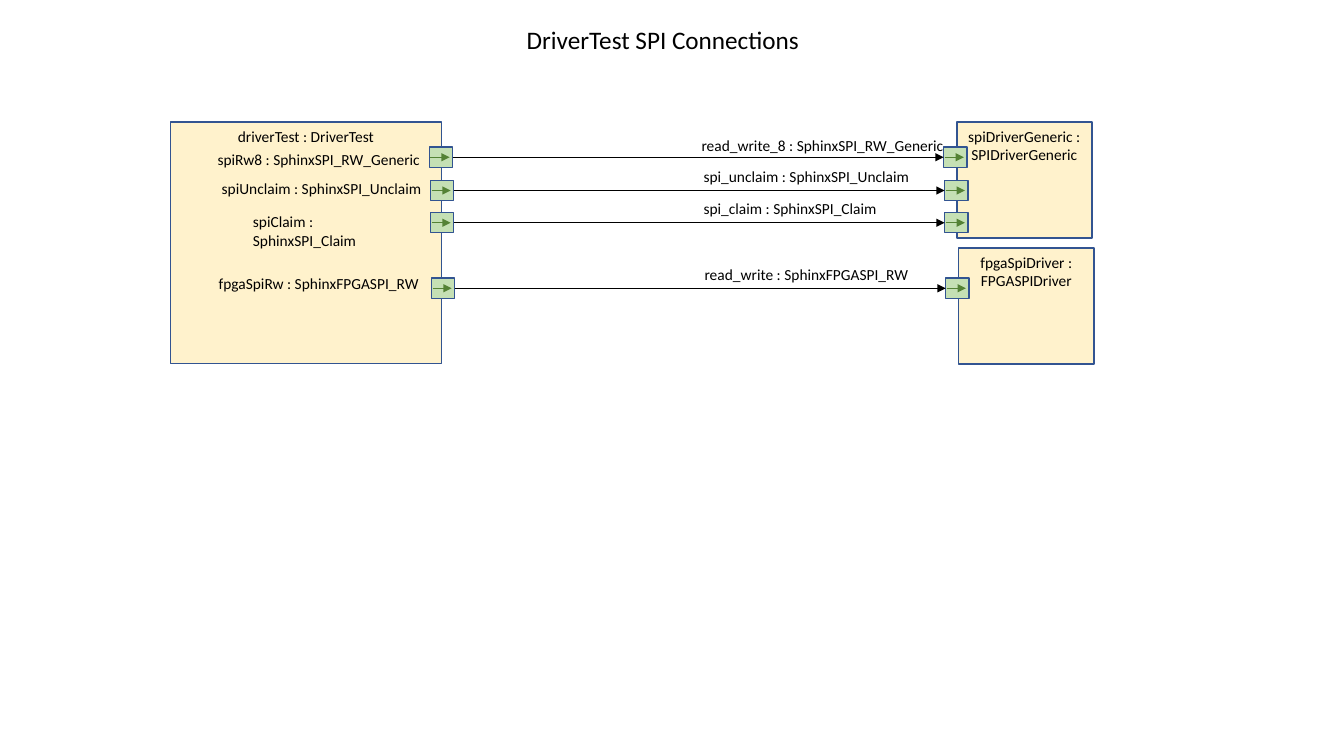
from lxml import etree
from pptx import Presentation
from pptx import util as u
from pptx.dml.color import RGBColor
from pptx.enum import shapes, text
from pptx.oxml.ns import qn

I = u.Inches
HUE = {"box": "FFF2CC", "port": "C5E0B4", "edge": "325491",
       "arrow": "548235", "ink": "000000"}
THICK = {"edge": 1, "arrow": 0.5, "ink": 1}
MID = text.PP_ALIGN.CENTER

deck = Presentation()
deck.slide_width, deck.slide_height = I(13.33), I(7.5)
slide = deck.slides.add_slide(deck.slide_layouts[5])
parts = slide.shapes


def write(shape, words, size=11, align=text.PP_ALIGN.LEFT, wrap=False):
    frame = shape.text_frame
    frame.text = words
    form = {"word_wrap": wrap, "vertical_anchor": text.MSO_ANCHOR.TOP,
            "auto_size": text.MSO_AUTO_SIZE.NONE}
    for key, value in form.items():
        setattr(frame, key, value)
    para = frame.paragraphs[0]
    para.alignment = align
    for run in para.runs:
        for key, value in {"name": "Calibri", "size": u.Pt(size)}.items():
            setattr(run.font, key, value)
        run.font.color.rgb = RGBColor.from_string(HUE["ink"])


def draw(hue, x, y, w, h=0):
    """Add a filled rectangle, or a level arrow when no height is given."""
    if h:
        item = parts.add_shape(shapes.MSO_SHAPE.RECTANGLE,
                               I(x), I(y), I(w), I(h))
        item.shadow.inherit = False
        item.fill.solid()
        item.fill.fore_color.rgb = RGBColor.from_string(HUE[hue])
        hue = "edge"
    else:
        item = parts.add_connector(shapes.MSO_CONNECTOR.STRAIGHT,
                                   I(x), I(y), I(x + w), I(y))
    item.line.color.rgb = RGBColor.from_string(HUE[hue])
    item.line.width = u.Pt(THICK[hue])
    if not h:
        props = item._element.spPr
        etree.SubElement(props.find(qn("a:ln")), qn("a:tailEnd"),
                         type="triangle")
        etree.SubElement(props, qn("a:effectLst"))
    return item


title = parts.title
spot = {"left": 5.11, "top": 0.19, "width": 2.93, "height": 0.4}
for key, value in spot.items():
    setattr(title, key, I(value))
write(title, "DriverTest SPI Connections", 18, MID)

# Components: name, left, top, width, height
for name, *place in (
    ("driverTest : DriverTest", 1.69, 1.21, 2.69, 2.4),
    ("spiDriverGeneric : SPIDriverGeneric", 9.49, 1.21, 1.34, 1.15),
    ("fpgaSpiDriver : FPGASPIDriver", 9.51, 2.46, 1.34, 1.15),
):
    write(draw("box", *place), name, align=MID, wrap=True)

# Links: port left and middle, then a label (text, left, top, width) per end
PORT_W, PORT_H, SPAN = 0.23, 0.2, 5.1
LINKS = (
    (4.26, 1.56, ("spiRw8 : SphinxSPI_RW_Generic", 2.06, 1.44, 2.23),
     ("read_write_8 : SphinxSPI_RW_Generic", 6.86, 1.3, 2.62)),
    (4.27, 1.89, ("spiUnclaim : SphinxSPI_Unclaim", 2.1, 1.73, 2.19),
     ("spi_unclaim : SphinxSPI_Unclaim", 6.88, 1.61, 2.26)),
    (4.27, 2.21, ("spiClaim : \vSphinxSPI_Claim", 2.41, 2.06, 1.85),
     ("spi_claim : SphinxSPI_Claim", 6.88, 1.93, 1.93)),
    (4.28, 2.86, ("fpgaSpiRw : SphinxFPGASPI_RW", 2.07, 2.67, 2.2),
     ("read_write : SphinxFPGASPI_RW", 6.89, 2.58, 2.24)),
)
for left, mid, *labels in LINKS:
    ports = []
    for x in (left, left + SPAN):
        ports.append(draw("port", x, mid - PORT_H / 2, PORT_W, PORT_H))
        draw("arrow", x + 0.01, mid, 0.19)
    wire = draw("ink", left + PORT_W, mid, SPAN - PORT_W)
    wire.begin_connect(ports[0], 3)
    wire.end_connect(ports[1], 1)
    for words, x, y, w in labels:
        label = parts.add_textbox(I(x), I(y), I(w), I(0.29))
        write(label, words, wrap="\v" in words)

deck.save("out.pptx")
